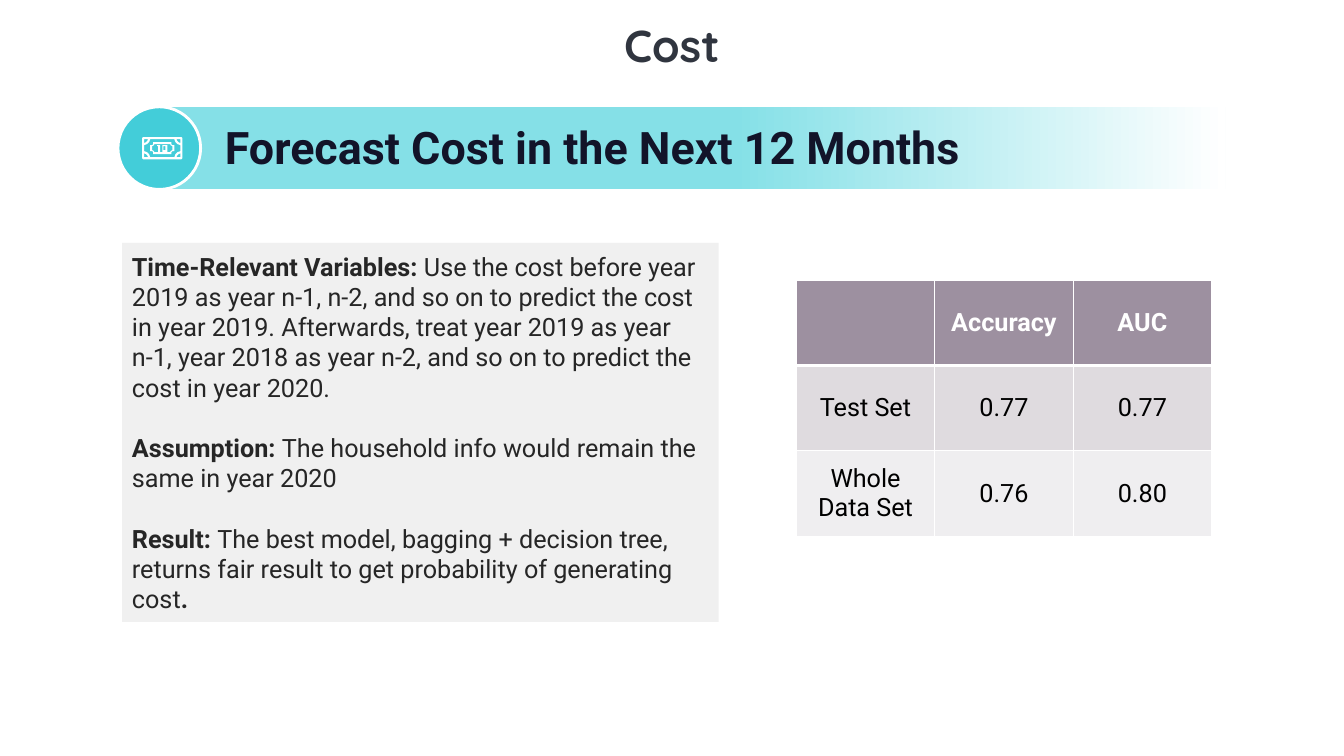
"""Build the slide on forecasting cost over the next twelve months."""
import dataclasses

import pptx
import pptx.dml.color
import pptx.enum.shapes
import pptx.enum.text
import pptx.oxml.ns
import pptx.util
from lxml import etree

TITLE = "Cost"
HEADING = "Forecast Cost in the Next 12 Months"
METHOD = [
    [("Time-Relevant Variables: ", True),
     ("Use the cost before year 2019 as year n-1, n-2, and so on to predict the cost in year 2019. "
      "Afterwards, treat year 2019 as year n-1, year 2018 as year n-2, and so on to predict the cost "
      "in year 2020.", False)],
    [("Assumption: ", True), ("The household info would remain the same in year 2020", False)],
    [("Result: ", True),
     ("The best model, bagging + decision tree, returns fair result to get probability of "
      "generating cost", False), (".", True)],
]
SCORES = [("", "Accuracy", "AUC"), ("Test Set", "0.77", "0.77"), ("Whole Data Set", "0.76", "0.80")]

SLIDE_SIZE = pptx.util.Inches(13.33), pptx.util.Inches(7.5)
AREAS = {
    "title": (46.35, 2.4, 7.28, 7.2),
    "banner": (11.7, 14.13, 79.5, 10.93),
    "badge": (8.78, 14.13, 6.15, 10.93),
    "heading": (16.73, 15.87, 64.13, 7.2),
    "method": (9.08, 32.13, 44.4, 50.13),
    "scores": (59.25, 37.07, 30.9, 33.87),
    "banknote": (10.58, 18.13, 3, 2.93),
}

BANKNOTE_SIZE = 40, 22
FRAME_CORNERS = [[(0, 1), (1, 0)], [(2, 8), (5, 7), (7, 5), (8, 2)]]
LABEL_CORNERS = [[(8, 8), (10, 8), (11, 7), (11, 5)], [(10, 9), (12, 8), (12, 7)]]
CORNER_HOLE = [(2, 2), (6, 2), (5, 4), (4, 5), (2, 6)]
DIGIT_ONE = [(15, 8), (18, 8), (18, 15), (16, 15), (16, 9), (15, 9)]
DIGIT_ZERO = [[(20, 8), (25, 8), (25, 15), (20, 15)], [(21, 9), (23, 9), (23, 13), (21, 13)]]


@dataclasses.dataclass(frozen=True)
class Theme:
    """Colours, fonts and type sizes of the slide."""
    title_font: str = "Quicksand"
    font: str = "Roboto"
    large: int = 32
    body: int = 18
    paragraph_gap: float = 21.6
    title: str = "30353F"
    heading: str = "121429"
    body_ink: str = "262626"
    white: str = "FFFFFF"
    black: str = "000000"
    banner: str = "85E0E7"
    badge: str = "43CDD9"
    panel: str = "CFCFCF"
    panel_opacity: int = 30
    rows: tuple = ("9D90A0", "DFDBDF", "EFEEF0")


THEME = Theme()


def rgb(code):
    return pptx.dml.color.RGBColor.from_string(code)


def area(name):
    return [round(side * share / 100) for side, share in zip(SLIDE_SIZE * 2, AREAS[name])]


def write(paragraph, text, size, colour, bold=True, font=THEME.font):
    run = paragraph.add_run()
    run.text = text
    run.font.size, run.font.bold, run.font.name = pptx.util.Pt(size), bold, font
    run.font.color.rgb = rgb(colour)


def add_block(name, kind="RECTANGLE"):
    block = slide.shapes.add_shape(pptx.enum.shapes.MSO_SHAPE[kind], *area(name))
    block.shadow.inherit = False
    block.line.fill.background()
    return block


def add_label(name, text, colour, font, wrap):
    frame = slide.shapes.add_textbox(*area(name)).text_frame
    frame.margin_left = frame.margin_right = frame.margin_top = frame.margin_bottom = 0
    frame.word_wrap = wrap
    write(frame.paragraphs[0], text, THEME.large, colour, font=font)
    return frame.paragraphs[0]


def mirror(points, across, down):
    width, height = BANKNOTE_SIZE
    return [(width - x if across else x, height - y if down else y) for x, y in points]


def ring(corner):
    return (corner + mirror(corner[::-1], True, False) + mirror(corner, True, True)
            + mirror(corner[::-1], False, True))


def add_outline(contours):
    left, top, width, _ = area("banknote")
    unit = width / BANKNOTE_SIZE[0]
    placed = [[(x + left / unit, y + top / unit) for x, y in contour] for contour in contours]
    builder = slide.shapes.build_freeform(*placed[0][0], scale=unit)
    builder.add_line_segments(placed[0][1:], close=True)
    for contour in placed[1:]:
        builder.move_to(*contour[0])
        builder.add_line_segments(contour[1:], close=True)
    outline = builder.convert_to_shape()
    outline.shadow.inherit = False
    outline.fill.solid()
    outline.fill.fore_color.rgb = rgb(THEME.white)
    outline.line.fill.background()


def add_borders(cell, widths):
    properties = cell._tc.get_or_add_tcPr()
    for index, (side, width) in enumerate(zip("LRTB", widths)):
        border = etree.Element(pptx.oxml.ns.qn(f"a:ln{side}"), w=str(pptx.util.Pt(width)))
        solid = etree.SubElement(border, pptx.oxml.ns.qn("a:solidFill"))
        etree.SubElement(solid, pptx.oxml.ns.qn("a:srgbClr"), val=THEME.white)
        properties.insert(index, border)


def add_banner():
    banner = add_block("banner")
    banner.fill.gradient()
    banner.fill.gradient_angle = 0
    stops = [(0.54, THEME.banner), (1, THEME.white)]
    for stop, (position, colour) in zip(banner.fill.gradient_stops, stops):
        stop.position, stop.color.rgb = position, rgb(colour)
    badge = add_block("badge", "OVAL")
    badge.fill.solid()
    badge.fill.fore_color.rgb = rgb(THEME.badge)
    badge.line.color.rgb = rgb(THEME.white)
    badge.line.width = pptx.util.Pt(2)
    holes = [mirror(CORNER_HOLE, across, down) for across in (False, True) for down in (False, True)]
    add_outline([ring(corner) for corner in FRAME_CORNERS] + holes)
    add_outline([ring(corner) for corner in LABEL_CORNERS])
    add_outline([DIGIT_ONE])
    add_outline(DIGIT_ZERO)


def add_method():
    method = add_block("method")
    method.fill.solid()
    method.fill.fore_color.rgb = rgb(THEME.panel)
    tint = method._element.spPr.find(".//" + pptx.oxml.ns.qn("a:srgbClr"))
    etree.SubElement(tint, pptx.oxml.ns.qn("a:alpha"), val=str(THEME.panel_opacity * 1000))
    frame = method.text_frame
    frame.word_wrap = True
    frame.vertical_anchor = pptx.enum.text.MSO_ANCHOR.MIDDLE
    for index, runs in enumerate(METHOD):
        paragraph = frame.add_paragraph() if index else frame.paragraphs[0]
        paragraph.alignment = pptx.enum.text.PP_ALIGN.LEFT
        paragraph.space_before = pptx.util.Pt(THEME.paragraph_gap if index else 0)
        for text, bold in runs:
            write(paragraph, text, THEME.body, THEME.body_ink, bold)


def add_scores():
    scores = slide.shapes.add_table(len(SCORES), len(SCORES[0]), *area("scores")).table
    for row, texts in enumerate(SCORES):
        header = row == 0
        for column, text in enumerate(texts):
            cell = scores.cell(row, column)
            cell.vertical_anchor = pptx.enum.text.MSO_ANCHOR.MIDDLE
            cell.fill.solid()
            cell.fill.fore_color.rgb = rgb(THEME.rows[row])
            add_borders(cell, (1, 1, 3 if row == 1 else 1, 3 if header else 1))
            if text:
                paragraph = cell.text_frame.paragraphs[0]
                paragraph.alignment = pptx.enum.text.PP_ALIGN.CENTER
                write(paragraph, text, THEME.body, THEME.white if header else THEME.black, header)


deck = pptx.Presentation()
deck.slide_width, deck.slide_height = SLIDE_SIZE
slide = deck.slides.add_slide(deck.slide_layouts[6])
add_banner()
title = add_label("title", TITLE, THEME.title, THEME.title_font, False)
title.alignment = pptx.enum.text.PP_ALIGN.CENTER
add_label("heading", HEADING, THEME.heading, THEME.font, True)
add_method()
add_scores()
deck.save("out.pptx")
